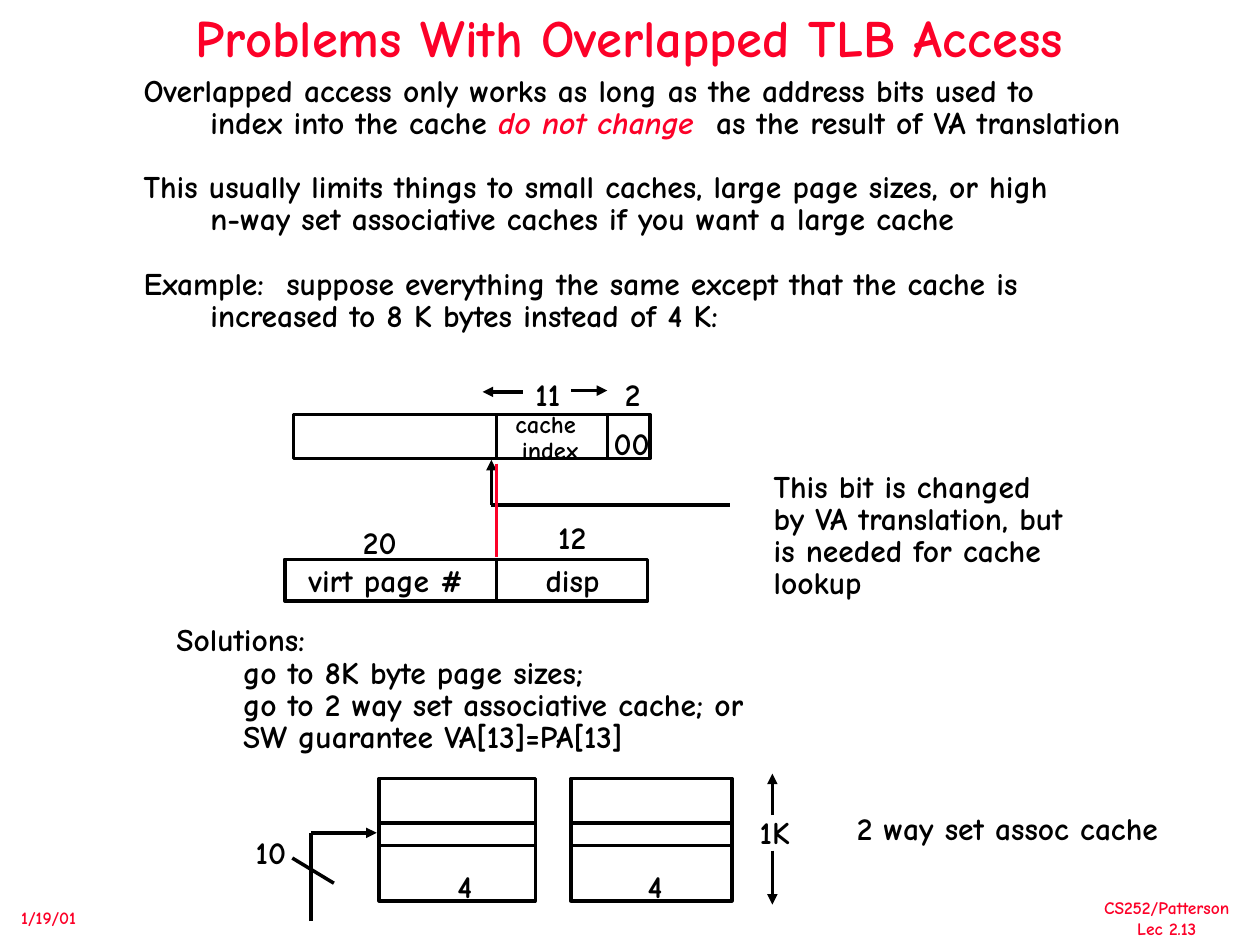
"""Build the slide on problems with overlapped TLB access."""
from lxml.etree import SubElement
from pptx import Presentation
from pptx.dml.color import RGBColor
from pptx.enum.shapes import MSO_CONNECTOR, MSO_SHAPE
from pptx.enum.text import MSO_ANCHOR, MSO_AUTO_SIZE, PP_ALIGN
from pptx.oxml.ns import qn
from pptx.util import Inches, Pt

BLACK = RGBColor(0x00, 0x00, 0x00)
RED = RGBColor(0xFC, 0x01, 0x28)
FONT = "Comic Neue"
INDENT = Inches(0.53)
BODY = {"size": 18, "color": BLACK, "spacing": 0.85, "align": PP_ALIGN.LEFT, "insets": (0.07, 0.03)}
INDEX = {**BODY, "size": 14, "spacing": 0.9, "align": PP_ALIGN.CENTER}
FOOTER = {**BODY, "size": 10, "color": RED, "spacing": 1.0, "insets": (0.1, 0.05)}
TITLE = {**FOOTER, "size": 30, "spacing": 0.9, "align": PP_ALIGN.CENTER}

presentation = Presentation()
presentation.slide_width = Inches(10)
presentation.slide_height = Inches(7.5)
slide = presentation.slides.add_slide(presentation.slide_layouts[6])


def add_text(box, lines, style=BODY, wrap=False):
    shape = slide.shapes.add_textbox(*map(Inches, box))
    frame = shape.text_frame
    horizontal, vertical = map(Inches, style["insets"])
    frame_format = {
        "word_wrap": wrap,
        "auto_size": MSO_AUTO_SIZE.NONE if wrap else MSO_AUTO_SIZE.SHAPE_TO_FIT_TEXT,
        "vertical_anchor": MSO_ANCHOR.MIDDLE if wrap else MSO_ANCHOR.TOP,
        "margin_left": horizontal, "margin_right": horizontal,
        "margin_top": vertical, "margin_bottom": vertical,
    }
    for name, value in frame_format.items():
        setattr(frame, name, value)
    for number, (runs, indented, space_before) in enumerate(lines):
        paragraph = frame.add_paragraph() if number else frame.paragraphs[0]
        paragraph_format = {"alignment": style["align"], "line_spacing": style["spacing"],
                            "space_before": Pt(space_before)}
        for name, value in paragraph_format.items():
            setattr(paragraph, name, value)
        if indented:
            paragraph._p.get_or_add_pPr().set("marL", str(INDENT))
        for text, emphasized in runs:
            run = paragraph.add_run()
            run.text = text
            font_format = {"name": FONT, "size": Pt(style["size"]), "bold": True, "italic": emphasized}
            for name, value in font_format.items():
                setattr(run.font, name, value)
            run.font.color.rgb = RED if emphasized else style["color"]


def add_line(start, end, arrow=False, color=BLACK):
    connector = slide.shapes.add_connector(MSO_CONNECTOR.STRAIGHT, *map(Inches, start + end))
    connector.line.color.rgb = color
    connector.line.width = Pt(2)
    if arrow:
        SubElement(connector.line._get_or_add_ln(), qn("a:tailEnd"), type="triangle")
    SubElement(connector._element.spPr, qn("a:effectLst"))


add_text((0, 0.1, 9.99, 0.45), [([("Problems With Overlapped TLB Access", False)], False, 0)], TITLE, True)
add_text((0.07, 7.15, 0.7, 0.27), [([("1/19/01", False)], False, 0)], FOOTER)
add_text((8.66, 7.07, 1.2, 0.43),
         [([(text, False)], False, 0) for text in ("CS252/Patterson", "Lec 2.13")],
         {**FOOTER, "align": PP_ALIGN.CENTER})

add_text((1.07, 0.58, 7.94, 2.1), [
    ([("Overlapped access only works as long as the address bits used to", False)], False, 0),
    ([("index into the cache ", False), ("do not change  ", True),
      ("as the result of VA translation", False)], True, 0),
    ([("This usually limits things to small caches, large page sizes, or high", False)], False, 18.3),
    ([("n-way set associative caches if you want a large cache", False)], True, 0),
    ([("Example:  suppose everything the same except that the cache is", False)], False, 18.3),
    ([("increased to 8 K bytes instead of 4 K:", False)], True, 0),
])
add_text((6.07, 3.72, 2.46, 1.08), [([(text, False)], False, 0) for text in (
    "This bit is changed", "by VA translation, but", "is needed for cache", "lookup")])
add_text((1.33, 4.94, 4.65, 1.08), [([(text, False)], number > 0, 0) for number, text in enumerate((
    "Solutions:", "go to 8K byte page sizes;",
    "go to 2 way set associative cache; or", "SW guarantee VA[13]=PA[13]"))])

cache_address = (2.33, 3.29, 2.83, 0.35)
virtual_address = (2.26, 4.44, 2.88, 0.33)
cache_ways = [(3.01, 6.18, 1.24, 0.97), (4.53, 6.18, 1.28, 0.97)]
for box in [cache_address, virtual_address, *cache_ways]:
    shape = slide.shapes.add_shape(MSO_SHAPE.RECTANGLE, *map(Inches, box))
    shape.shadow.inherit = False
    shape.fill.background()
    shape.line.color.rgb = BLACK
    shape.line.width = Pt(2)

for x, (left, top, width, height) in ((4.82, cache_address), (3.94, cache_address), (3.94, virtual_address)):
    add_line((x, top), (x, top + height))
for left, top, width, height in cache_ways:
    for y in (6.53, 6.71):
        add_line((left, y), (left + width, y))

changed_bit_corner = (3.9, 4.01)
cache_input_corner = (2.47, 6.61)
for start, end in (
    ((4.53, 3.1), (4.82, 3.1)),
    ((4.15, 3.11), (3.83, 3.11)),
    (changed_bit_corner, (3.9, 3.65)),
    ((6.13, 6.47), (6.13, 6.14)),
    ((6.13, 6.75), (6.13, 7.18)),
    (cache_input_corner, (2.99, 6.61)),
):
    add_line(start, end, arrow=True)
for start, end in ((changed_bit_corner, (5.79, 4.01)), ((2.47, 7.31), cache_input_corner),
                   ((2.32, 6.81), (2.65, 7.01))):
    add_line(start, end)
add_line((3.94, 3.68), (3.94, 4.42), color=RED)

add_text((4.02, 3.24, 0.69, 0.48), [([(text, False)], False, 0) for text in ("cache ", "index")], INDEX)
for text, left, top, width in (
    ("11", 4.18, 2.99, 0.4), ("2", 4.89, 2.99, 0.3), ("00", 4.8, 3.38, 0.48),
    ("20", 2.81, 4.17, 0.46), ("12", 4.36, 4.13, 0.42),
    ("virt page #", 2.38, 4.47, 1.42), ("disp", 4.26, 4.47, 0.62),
    ("4", 3.56, 6.9, 0.3), ("4", 5.07, 6.9, 0.3),
    ("1K", 5.96, 6.47, 0.43), ("10", 1.96, 6.63, 0.43),
    ("2 way set assoc cache", 6.73, 6.44, 2.6),
):
    add_text((left, top, width, 0.31), [([(text, False)], False, 0)])

presentation.save("out.pptx")
